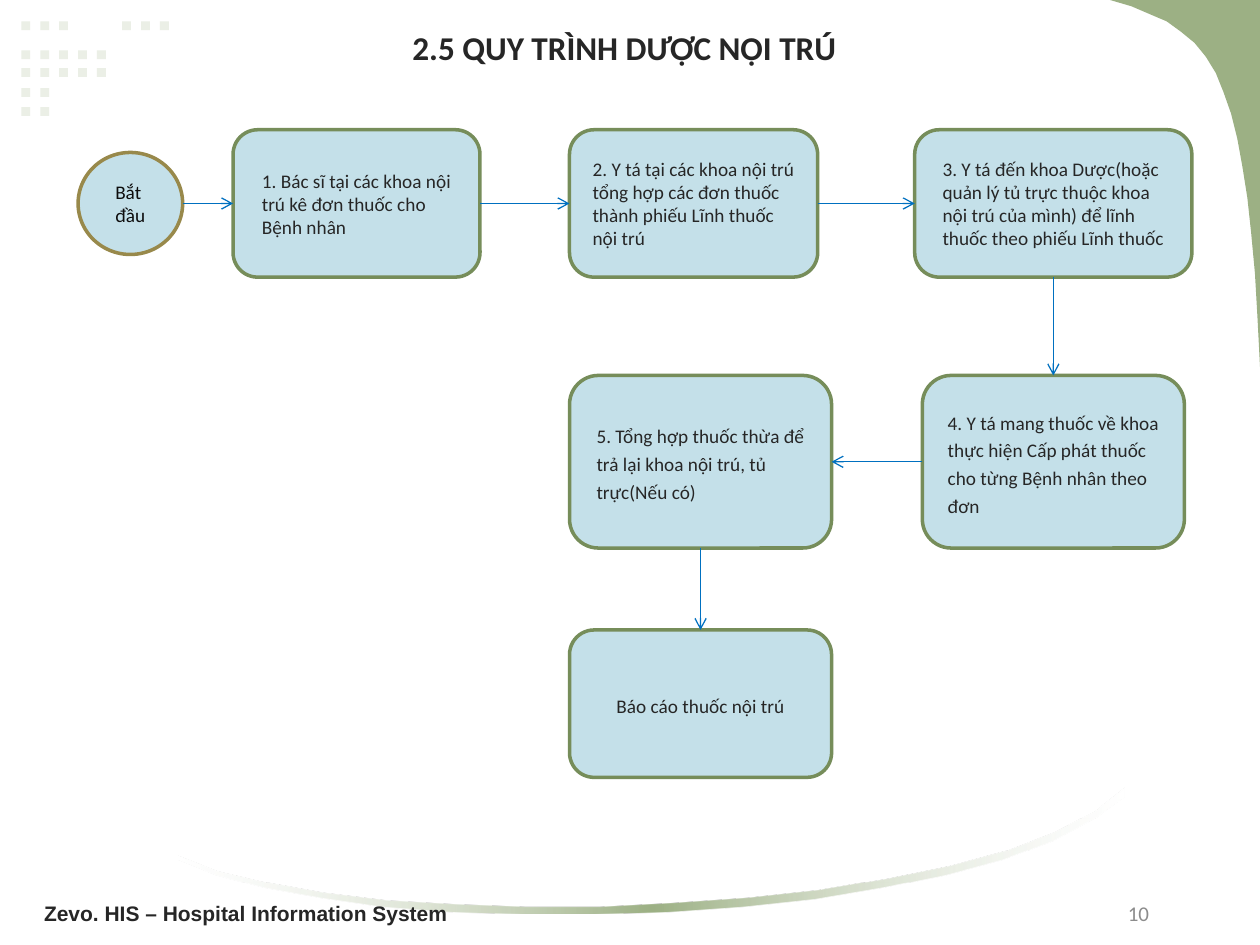
from lxml import etree
from pptx import Presentation
from pptx.dml.color import RGBColor
from pptx.enum.shapes import MSO_CONNECTOR, MSO_SHAPE
from pptx.enum.text import MSO_ANCHOR, PP_ALIGN
from pptx.oxml.ns import qn
from pptx.util import Inches, Pt

RECT, ROUND, OVAL = MSO_SHAPE.RECTANGLE, MSO_SHAPE.ROUNDED_RECTANGLE, MSO_SHAPE.OVAL
STRAIGHT = MSO_CONNECTOR.STRAIGHT
MIDDLE, TOP = MSO_ANCHOR.MIDDLE, MSO_ANCHOR.TOP
LEFT, CENTER, RIGHT = PP_ALIGN.LEFT, PP_ALIGN.CENTER, PP_ALIGN.RIGHT
N_SIDE, W_SIDE, S_SIDE, E_SIDE = range(4)

COLORS = {"dot": "EBEFE6", "green": "9CB084", "white": "FFFFFF", "box": "C4E0E9",
          "edge": "768D5A", "ring": "98894B", "arrow": "0070C0",
          "text": "262626", "start": "0D0D0D", "number": "8C8C8C"}

# name: kind, box (left, top, width, height), line spacing, text
STEPS = {
    "start": (OVAL, (0.62, 1.21, 0.83, 0.81), 1, "Bắt đầu"),
    "order": (ROUND, (1.85, 1.03, 1.96, 1.17), 1,
              "1. Bác sĩ tại các khoa nội trú kê đơn thuốc cho Bệnh nhân"),
    "gather": (ROUND, (4.52, 1.03, 1.97, 1.17), 1,
               "2. Y tá tại các khoa nội trú tổng hợp các đơn thuốc thành phiếu Lĩnh thuốc nội trú"),
    "collect": (ROUND, (7.26, 1.03, 2.2, 1.17), 1,
                "3. Y tá đến khoa Dược(hoặc quản lý tủ trực thuộc khoa nội trú của mình) "
                "để lĩnh thuốc theo phiếu Lĩnh thuốc"),
    "give": (ROUND, (7.32, 2.98, 2.08, 1.37), 1.2,
             "4. Y tá mang thuốc về khoa thực hiện Cấp phát thuốc cho từng Bệnh nhân theo đơn"),
    "return": (ROUND, (4.52, 2.98, 2.08, 1.37), 1.2,
               "5. Tổng hợp thuốc thừa để trả lại khoa nội trú, tủ trực(Nếu có)"),
    "report": (ROUND, (4.52, 5, 2.08, 1.17), 1.2, "Báo cáo thuốc nội trú"),
}
FLOWS = [("start", E_SIDE, "order", W_SIDE), ("order", E_SIDE, "gather", W_SIDE),
         ("gather", E_SIDE, "collect", W_SIDE), ("collect", S_SIDE, "give", N_SIDE),
         ("give", W_SIDE, "return", E_SIDE), ("return", S_SIDE, "report", N_SIDE)]

# top of each row of dots, then its (first left, count) groups
DOTS = [(0.17, [(0.17, 3), (0.97, 3)]), (0.4, [(0.17, 5)]), (0.54, [(0.17, 5)]),
        (0.7, [(0.17, 2)]), (0.85, [(0.17, 2)])]
DOT, PITCH = 0.07, 0.15

CORNER = [(8.81, 0), (10, 0), (10, 2.91), (9.98, 2.52), (9.96, 2.17), (9.93, 1.85),
          (9.9, 1.57), (9.86, 1.32), (9.82, 1.1), (9.77, 0.9), (9.71, 0.73),
          (9.65, 0.58), (9.57, 0.45), (9.48, 0.34), (9.37, 0.25), (9.26, 0.17),
          (9.12, 0.11), (8.98, 0.05)]
SWOOSH = [(8.92, 6.25), (8.92, 6.32), (8.67, 6.5), (8.35, 6.67), (7.95, 6.82),
          (7.5, 6.94), (7, 7.04), (6.46, 7.13), (5.89, 7.19), (5.31, 7.23),
          (4.72, 7.25), (4.14, 7.25), (3.57, 7.23), (3.04, 7.19), (2.55, 7.12),
          (2.1, 7.04), (1.72, 6.94), (1.42, 6.82), (1.42, 6.79), (1.73, 6.91),
          (2.12, 7), (2.57, 7.08), (3.07, 7.14), (3.61, 7.17), (4.17, 7.19),
          (4.76, 7.19), (5.34, 7.16), (5.93, 7.12), (6.49, 7.06), (7.03, 6.97),
          (7.53, 6.87), (7.98, 6.75), (8.37, 6.6), (8.68, 6.44)]
FADE = [(0, "white", 30), (50, "green", 100), (100, "white", 30)]

# text, box, anchor, align, line spacing, size, font, color, bold
LABELS = [
    ("2.5 QUY TRÌNH DƯỢC NỘI TRÚ", (0.58, 0, 8.75, 0.58), TOP, CENTER, 1.5,
     19, "Calibri", "text", True),
    ("Zevo. HIS – Hospital Information System", (0.24, 7.07, 6, 0.35), MIDDLE, LEFT, 1,
     12, "Arial", "text", True),
    ("10", (8.23, 7.07, 1, 0.35), MIDDLE, RIGHT, 1, 12, "Calibri", "number", False),
]


def rgb(name):
    return RGBColor.from_string(COLORS[name])


def paint(shape, fill, line=None):
    shape.shadow.inherit = False
    shape.fill.solid()
    shape.fill.fore_color.rgb = rgb(fill)
    if line:
        shape.line.color.rgb = rgb(line)
        shape.line.width = Pt(2)
    else:
        shape.line.fill.background()


def write(shape, text, anchor, align, gap, size, face, color, bold=False):
    frame = shape.text_frame
    frame.word_wrap = True
    frame.vertical_anchor = anchor
    frame.margin_left = frame.margin_right = Inches(0.11)
    frame.margin_top = frame.margin_bottom = Inches(0.06)
    para = frame.paragraphs[0]
    para.text = text
    para.alignment = align
    para.line_spacing = gap
    font = para.font
    font.size, font.name, font.bold = Pt(size), face, bold
    font.color.rgb = rgb(color)


def outline(shapes, points):
    """Closed green outline; the builder needs whole numbers, so it works in EMU."""
    first, *rest = [(Inches(x), Inches(y)) for x, y in points]
    build = shapes.build_freeform(*first)
    build.add_line_segments(rest, close=True)
    shape = build.convert_to_shape()
    paint(shape, "green")
    return shape


def fade(shape):
    """Fill with the left-to-right gradient of FADE."""
    shape.fill.gradient()
    shape.fill.gradient_angle = 0
    stops = shape._element.spPr.find(".//" + qn("a:gsLst"))
    for old in list(stops):
        stops.remove(old)
    for spot, color, alpha in FADE:
        stop = etree.SubElement(stops, qn("a:gs"), pos=str(spot * 1000))
        tone = etree.SubElement(stop, qn("a:srgbClr"), val=COLORS[color])
        etree.SubElement(tone, qn("a:alpha"), val=str(alpha * 1000))


def port(shape, side):
    """Middle of one side of a shape."""
    x, y, w, h = shape.left, shape.top, shape.width, shape.height
    return [(x + w // 2, y), (x, y + h // 2), (x + w // 2, y + h), (x + w, y + h // 2)][side]


def join(shapes, first, out, last, into):
    line = shapes.add_connector(STRAIGHT, *port(first, out), *port(last, into))
    if first.auto_shape_type == ROUND:
        line.begin_connect(first, out)
    line.end_connect(last, into)
    line.line.color.rgb = rgb("arrow")
    line.line.width = Pt(0.75)
    etree.SubElement(line.line._get_or_add_ln(), qn("a:tailEnd"), type="arrow")
    etree.SubElement(line._element.spPr, qn("a:effectLst"))


def main():
    deck = Presentation()
    deck.slide_width, deck.slide_height = Inches(10), Inches(7.5)
    shapes = deck.slides.add_slide(deck.slide_layouts[6]).shapes

    for top, groups in DOTS:
        for left, count in groups:
            for col in range(count):
                x = left + col * PITCH
                paint(shapes.add_shape(RECT, *map(Inches, (x, top, DOT, DOT))), "dot")
    outline(shapes, CORNER)
    fade(outline(shapes, SWOOSH))

    nodes = {}
    for name, (kind, box, gap, text) in STEPS.items():
        node = nodes[name] = shapes.add_shape(kind, *map(Inches, box))
        paint(node, "box", "ring" if kind == OVAL else "edge")
        write(node, text, MIDDLE, LEFT, gap, 11, "Calibri",
              "start" if kind == OVAL else "text")
        # centre the left-aligned block as a whole
        node.text_frame._txBody.bodyPr.set("anchorCtr", "1")
    for start, out, end, into in FLOWS:
        join(shapes, nodes[start], out, nodes[end], into)

    for text, box, *style in LABELS:
        write(shapes.add_textbox(*map(Inches, box)), text, *style)
    deck.save("out.pptx")


if __name__ == "__main__":
    main()
